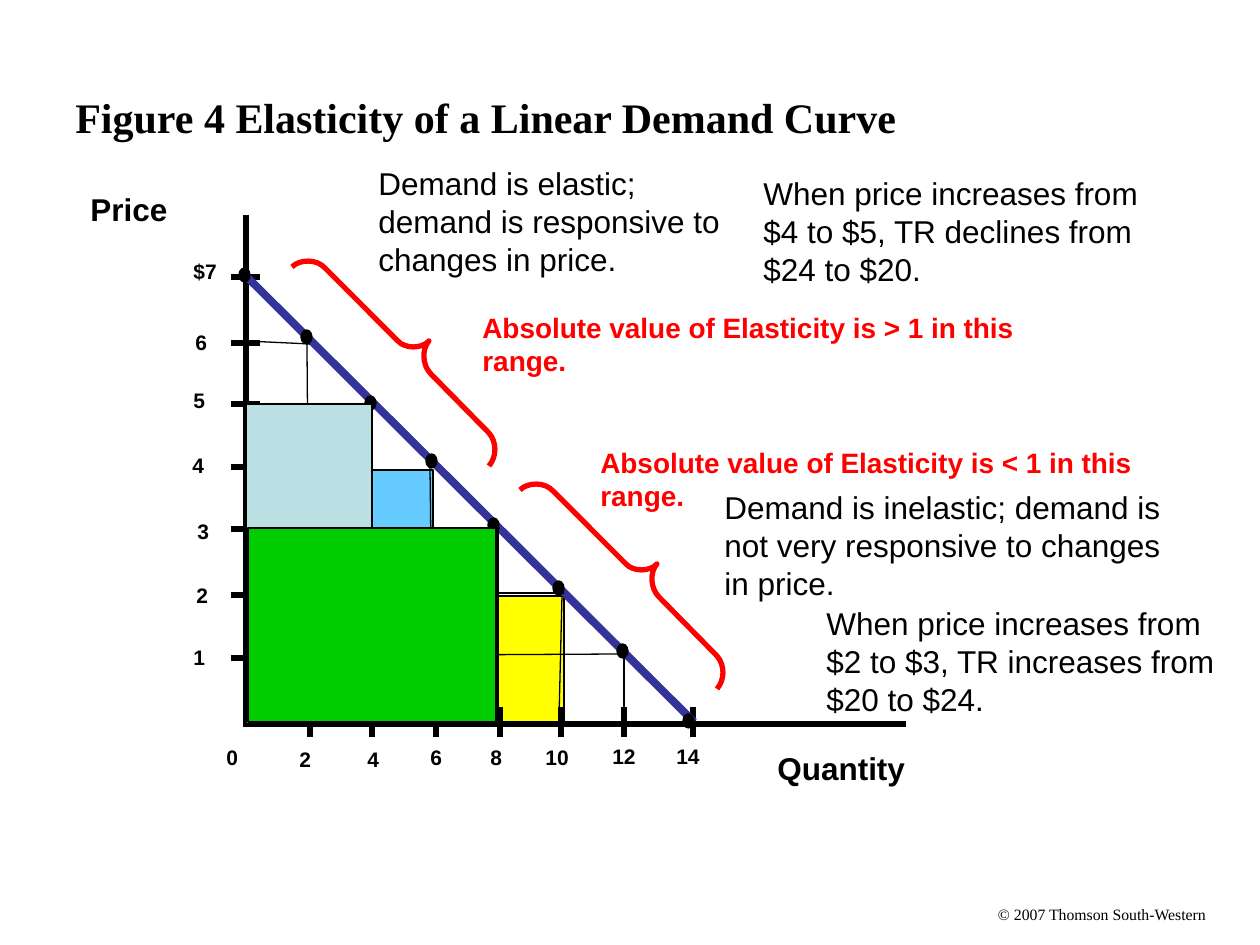
from lxml import etree
from pptx import Presentation
from pptx import util as u
from pptx.dml.color import RGBColor
from pptx.enum import shapes, text
from pptx.oxml.ns import qn

SCALE = 914400 / 126
COLORS = {
    "ink": "000000", "demand": "333399", "range": "FF0000", "yellow": "FFFF00",
    "blue": "66CCFF", "pale": "BBE0E3", "green": "00CC00",
}
TICKS_X = [64, 126, 190, 254, 315, 378, 447]
TICKS_Y = [62, 128, 189, 252, 314, 380, 443]
LABELS_X = {
    "0": (-32, 523), "2": (41, 525), "4": (109, 525), "6": (172, 523),
    "8": (232, 523), "10": (287, 523), "12": (354, 522), "14": (418, 522),
}
LABELS_Y = {
    "$7": (-65, 37), "6": (-63, 108), "5": (-65, 166), "4": (-66, 231),
    "3": (-61, 297), "2": (-62, 361), "1": (-65, 423),
}
GUIDES = [
    (0, 126, 64, 129), (61, 129, 64, 507), (0, 189, 129, 189),
    (126, 189, 126, 504), (0, 255, 186, 255), (184, 252, 187, 507),
    (-2, 313, 254, 313), (252, 313, 252, 504), (0, 378, 318, 378),
    (316, 381, 313, 504), (0, 441, 380, 439), (378, 438, 378, 507),
]
POINTS = [(-7, 53), (55, 115), (119, 181), (180, 239),
          (242, 303), (307, 366), (371, 429), (437, 499)]
BRACE = [
    [(0, 0), (8, -8), (25, -8), (33, 1)],
    [(106, 74), (113, 82), (130, 82), (137, 74)],
    [(137, 74), (130, 82), (130, 98), (139, 107)],
    [(197, 166), (205, 175), (205, 190), (197, 199)],
]


def px(length):
    """Turn px into EMU."""
    return u.Emu(round(length * SCALE))


def rgb(name):
    """Look up a colour by name."""
    return RGBColor.from_string(COLORS[name])


def add_text(slide, box, wording, size, bold=False, color="ink", font="Arial",
             anchor=text.MSO_ANCHOR.TOP, wrap=True):
    """Place one paragraph in a text box."""
    frame = slide.shapes.add_textbox(*map(px, box)).text_frame
    frame.word_wrap = wrap
    frame.vertical_anchor = anchor
    paragraph = frame.paragraphs[0]
    paragraph.text = wording
    paragraph.font.name = font
    paragraph.font.size = u.Pt(size)
    paragraph.font.bold = bold
    paragraph.font.color.rgb = rgb(color)
    return frame


def add_line(slide, origin, ends, width, color="ink"):
    """Draw a straight line between two points measured from the origin."""
    left, top = origin
    x1, y1, x2, y2 = ends
    line = slide.shapes.add_connector(
        shapes.MSO_CONNECTOR.STRAIGHT,
        px(left + x1), px(top + y1), px(left + x2), px(top + y2))
    line.line.width = u.Pt(width)
    line.line.color.rgb = rgb(color)
    etree.SubElement(line._element.spPr, qn("a:effectLst"))


def add_solid(slide, kind, origin, box, color):
    """Draw a filled shape with a thin outline."""
    left, top, width, height = box
    solid = slide.shapes.add_shape(
        kind, px(origin[0] + left), px(origin[1] + top), px(width), px(height))
    solid.shadow.inherit = False
    solid.fill.solid()
    solid.fill.fore_color.rgb = rgb(color)
    solid.line.color.rgb = rgb("ink")
    solid.line.width = u.Pt(0.75)


def bezier(curve, t):
    """Return the point at t on a cubic curve."""
    weights = ((1 - t) ** 3, 3 * t * (1 - t) ** 2, 3 * t * t * (1 - t), t ** 3)
    return tuple(sum(w * p[axis] for w, p in zip(weights, curve)) for axis in (0, 1))


def add_brace(slide, left, top):
    """Draw a slanted brace that marks a range of the curve."""
    outline = [bezier(curve, step / 8) for curve in BRACE for step in range(9)]
    places = [(px(left + x), px(top + y)) for x, y in outline]
    builder = slide.shapes.build_freeform(*places[0])
    builder.add_line_segments(places[1:], close=False)
    brace = builder.convert_to_shape()
    brace.shadow.inherit = False
    brace.fill.background()
    brace.line.color.rgb = rgb("range")
    brace.line.width = u.Pt(3)


def add_axes(slide, origin, width, height):
    """Draw both axes with their ticks and numbers."""
    axes = [(0, 0, 0, height + 3), (2, height, width, height)]
    ticks = [(x, height - 17, x, height + 13) for x in TICKS_X]
    ticks += [(-15, y, 14, y) for y in TICKS_Y]
    for ends in axes + ticks:
        add_line(slide, origin, ends, 3)
    for labels in (LABELS_X, LABELS_Y):
        for number, (x, y) in labels.items():
            add_text(slide, (origin[0] + x, origin[1] + y, 52, 38), number, 12, True)


def add_demand_graph(slide, left, top, width, height):
    """Build the demand curve with its revenue areas, guides and ranges."""
    origin = left, top
    rectangle, oval = shapes.MSO_SHAPE.RECTANGLE, shapes.MSO_SHAPE.OVAL
    add_solid(slide, rectangle, origin, (2, 381, 316, 126), "yellow")
    add_solid(slide, rectangle, origin, (3, 255, 184, 252), "blue")
    add_axes(slide, origin, width, height)
    add_line(slide, origin, (0, 61, 448, 507), 4.5, "demand")
    for ends in GUIDES:
        add_line(slide, origin, ends, 0.75)
    for x, y in ((46, 52), (274, 275)):
        add_brace(slide, left + x, top + y)
    for x, y in POINTS:
        add_solid(slide, oval, origin, (x, y, 11, 14), "ink")
    add_solid(slide, rectangle, origin, (0, 189, 126, 320), "pale")
    add_solid(slide, rectangle, origin, (2, 313, 248, 194), "green")
    add_text(slide, (left - 168, top - 31, 146, 50), "Price", 18, True)
    add_text(slide, (left + 519, top + 528, 184, 50), "Quantity", 18, True)


def add_notes_on_ranges(slide, left, top):
    """Place the explanations of the elastic and inelastic ranges."""
    explanations = [
        (0, 0, 394, "Demand is elastic; demand is responsive to changes in price."),
        (346, 324, 484, "Demand is inelastic; demand is not very responsive to changes in price."),
        (385, 10, 418, "When price increases from $4 to $5, TR declines from $24 to $20."),
        (448, 440, 418, "When price increases from $2 to $3, TR increases from $20 to $24."),
    ]
    for x, y, width, wording in explanations:
        add_text(slide, (left + x, top + y, width, 126), wording, 18)
    for x, y, sign in ((104, 146, ">"), (222, 281, "<")):
        add_text(slide, (left + x, top + y, 630, 81),
                 f"Absolute value of Elasticity is {sign} 1 in this range.",
                 16, True, "range")


def add_heading(slide, box):
    """Place the title of the figure."""
    add_text(slide, box, "Figure 4 Elasticity of a Linear Demand Curve", 24, True,
             font="Times New Roman", anchor=text.MSO_ANCHOR.MIDDLE)


def add_copyright(slide, box):
    """Place the copyright line."""
    frame = add_text(slide, box, "© 2007 Thomson South-Western", 9,
                     font="Times New Roman", wrap=False)
    frame.margin_left = frame.margin_right = frame.margin_top = frame.margin_bottom = 0


def main():
    """Build and save the slide."""
    deck = Presentation()
    deck.slide_width, deck.slide_height = px(1260), px(945)
    slide = deck.slides.add_slide(deck.slide_layouts[6])
    add_copyright(slide, (998, 905, 209, 19))
    add_demand_graph(slide, 246, 215, 660, 509)
    add_notes_on_ranges(slide, 366, 158)
    add_heading(slide, (63, 38, 1134, 158))
    deck.save("out.pptx")


if __name__ == "__main__":
    main()
